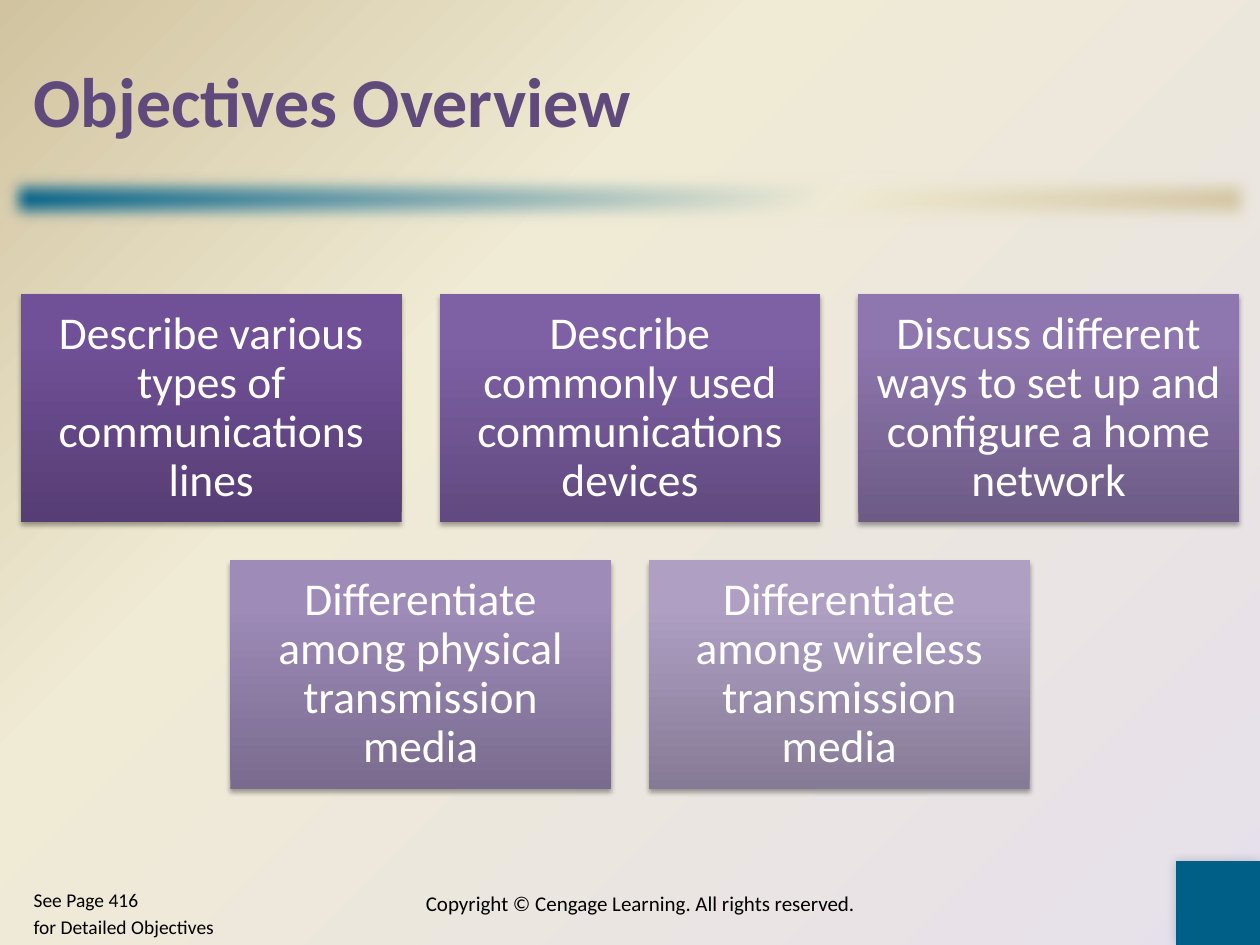
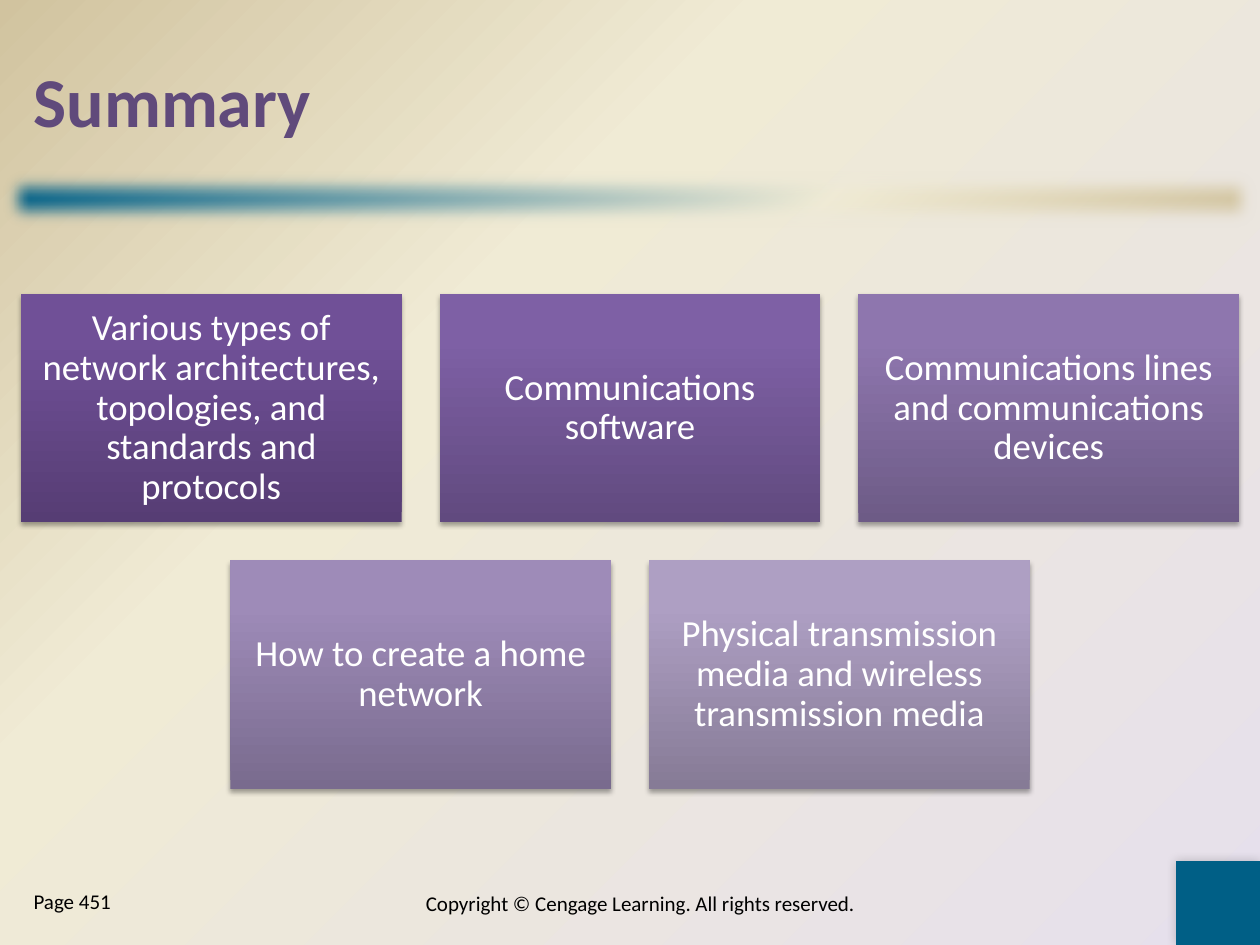
from dataclasses import dataclass
from typing import NamedTuple

from pptx import Presentation, util as u
from pptx.dml.color import RGBColor
from pptx.enum import shapes, text
from pptx.oxml import parse_xml
from pptx.oxml.ns import nsdecls, qn

FONT = "Calibri"
TEAL, CREAM, SAND, LILAC = "005F86", "F0EBD5", "D1C39F", "E6E0EC"
PURPLE, WHITE, BLACK = "604A7B", "FFFFFF", "000000"
MARGIN, CONTENT_W, TILES_TOP = 12, 696, 168
COLUMNS, GAP_RATIO, HEIGHT_RATIO = 3, 0.1, 0.6
COPYRIGHT = "Copyright © Cengage Learning. All rights reserved."


class Box(NamedTuple):
    left: float
    top: float
    width: float
    height: float

    def points(self) -> list:
        return [u.Pt(v) for v in self]


class Shadow(NamedTuple):
    alpha: int
    blur: float
    dist: float
    angle: int


@dataclass
class TopicSlide:
    title: str
    topics: list[str]
    size: float
    inset: float
    page_lines: list[str]
    page_size: float


TILE_SHADOW = Shadow(35, 3.1, 1.8, 90)
CORNER_SHADOW = Shadow(20, 6, 0, 225)
TILE_FILLS = [
    ("563D74", "705097", "704F99"),
    ("614A7F", "7E60A5", "7F60A7"),
    ("6D5B86", "8E76AE", "8E75B0"),
    ("796B8E", "9E8BB8", "9E8BBA"),
    ("867B96", "AE9FC3", "AE9FC4"),
]
SLIDES = [
    TopicSlide("Objectives Overview", [
        "Describe various types of communications lines",
        "Describe commonly used communications devices",
        "Discuss different ways to set up and configure a home network",
        "Differentiate among physical transmission media",
        "Differentiate among wireless transmission media",
    ], 26, 8, ["See Page 416", "for Detailed Objectives"], 11.1),
    TopicSlide("Summary", [
        "Various types of network architectures, topologies, and standards and protocols",
        "Communications software",
        "Communications lines and communications devices",
        "How to create a home network",
        "Physical transmission media and wireless transmission media",
    ], 21, 6.5, ["Page 451"], 12),
]


def rgb(color: str) -> RGBColor:
    return RGBColor.from_string(color)


def gradient(colors, middle: int, angle: int | None = None):
    stops = "".join(
        f'<a:gs pos="{pos * 1000}"><a:srgbClr val="{rgb(color)}"/></a:gs>'
        for pos, color in zip((0, middle, 100), colors))
    if angle is None:
        shade = '<a:path path="circle"><a:fillToRect l="100000" t="100000"/></a:path>'
    else:
        shade = f'<a:lin ang="{angle * 60000}" scaled="0"/>'
    return parse_xml(f'<a:gradFill {nsdecls("a")} rotWithShape="1">'
                     f'<a:gsLst>{stops}</a:gsLst>{shade}</a:gradFill>')


def replace_solid(parent, fill) -> None:
    solid = parent.find(qn("a:solidFill"))
    parent.replace(solid, fill)


def add_rect(s, box: Box, fill="", shadow: Shadow | None = None):
    sp = s.shapes.add_shape(shapes.MSO_SHAPE.RECTANGLE, *box.points())
    sp.fill.solid()
    if isinstance(fill, str):
        sp.fill.fore_color.rgb = rgb(fill)
    else:
        replace_solid(sp.element.spPr, fill)
    sp.line.fill.background()
    sp.shadow.inherit = False
    if shadow:
        sp.element.spPr.find(qn("a:effectLst")).append(parse_xml(
            f'<a:outerShdw {nsdecls("a")} blurRad="{u.Pt(shadow.blur)}" '
            f'dist="{u.Pt(shadow.dist)}" dir="{shadow.angle * 60000}" rotWithShape="0">'
            f'<a:srgbClr val="{rgb(BLACK)}"><a:alpha val="{shadow.alpha * 1000}"/>'
            '</a:srgbClr></a:outerShdw>'))
    return sp


def write(sp, lines: list[str], *, size: float, color: str = BLACK, bold: bool = False,
          align=text.PP_ALIGN.LEFT, anchor=text.MSO_ANCHOR.MIDDLE, inset: float | None = None,
          line_spacing: float = 1, gap: float = 0, plain_list: bool = False) -> None:
    tf = sp.text_frame
    tf.word_wrap = True
    tf.auto_size = text.MSO_AUTO_SIZE.NONE
    tf.vertical_anchor = anchor
    if inset is not None:
        tf.margin_left = tf.margin_top = tf.margin_right = tf.margin_bottom = u.Pt(inset)
    for i, line in enumerate(lines):
        p = tf.add_paragraph() if i else tf.paragraphs[0]
        if plain_list:
            pPr = p._p.get_or_add_pPr()
            pPr.set("marL", "0")
            pPr.set("indent", "0")
            pPr.append(parse_xml(f'<a:buNone {nsdecls("a")}/>'))
        p.alignment = align
        p.line_spacing = line_spacing
        p.space_before = u.Pt(gap if i else 0)
        r = p.add_run()
        r.text = line
        r.font.name, r.font.size, r.font.bold = FONT, u.Pt(size), bold
        r.font.color.rgb = rgb(color)


def place(sp, box: Box) -> None:
    sp.left, sp.top, sp.width, sp.height = box.points()


def decorate_master(prs, s) -> None:
    master = prs.slide_master
    master.background.fill.solid()
    replace_solid(master.element.find(".//" + qn("p:bgPr")),
                  gradient((LILAC, CREAM, SAND), 65))
    band = add_rect(s, Box(0, 96, 720, 36), gradient((TEAL, CREAM, SAND), 65, 45))
    band.element.spPr.find(qn("a:effectLst")).append(
        parse_xml(f'<a:softEdge {nsdecls("a")} rad="{u.Pt(10)}"/>'))
    corner = add_rect(s, Box(672, 492, 48, 48), TEAL, CORNER_SHADOW)
    for i, sp in enumerate((band, corner)):
        sp.element.nvSpPr.cNvPr.set("id", str(101 + i))
        master.shapes.element.insert(2 + i, sp.element)


def tile_boxes(count: int) -> list[Box]:
    width = CONTENT_W / (COLUMNS + (COLUMNS - 1) * GAP_RATIO)
    gap, height = width * GAP_RATIO, width * HEIGHT_RATIO
    boxes = []
    for i in range(count):
        row, column = divmod(i, COLUMNS)
        in_row = min(COLUMNS, count - row * COLUMNS)
        row_width = in_row * (width + gap) - gap
        left = MARGIN + (CONTENT_W - row_width) / 2 + column * (width + gap)
        boxes.append(Box(left, TILES_TOP + row * (height + gap), width, height))
    return boxes


def fill_slide(s, content: TopicSlide) -> None:
    title, page = s.shapes.title, s.placeholders[1]
    place(title, Box(MARGIN, 12, CONTENT_W, 90))
    write(title, [content.title], size=40, color=PURPLE, bold=True)
    for box, topic, colors in zip(tile_boxes(len(content.topics)), content.topics, TILE_FILLS):
        tile = add_rect(s, box, gradient(colors, 80, 270), TILE_SHADOW)
        write(tile, [topic], size=content.size, color=WHITE, inset=content.inset,
              align=text.PP_ALIGN.CENTER, line_spacing=0.9)
    footer = s.shapes.add_textbox(*Box(216, 498, 300, 36).points())
    write(footer, [COPYRIGHT], size=12, align=text.PP_ALIGN.CENTER)
    place(page, Box(MARGIN, 504, 132, 36))
    write(page, content.page_lines, size=content.page_size, gap=2.2,
          anchor=text.MSO_ANCHOR.TOP, plain_list=True)


def main() -> None:
    prs = Presentation()
    prs.slide_width, prs.slide_height = u.Pt(720), u.Pt(540)
    for i, content in enumerate(SLIDES):
        s = prs.slides.add_slide(prs.slide_layouts[1])
        if i == 0:
            decorate_master(prs, s)
        fill_slide(s, content)
    prs.save("out.pptx")


if __name__ == "__main__":
    main()
